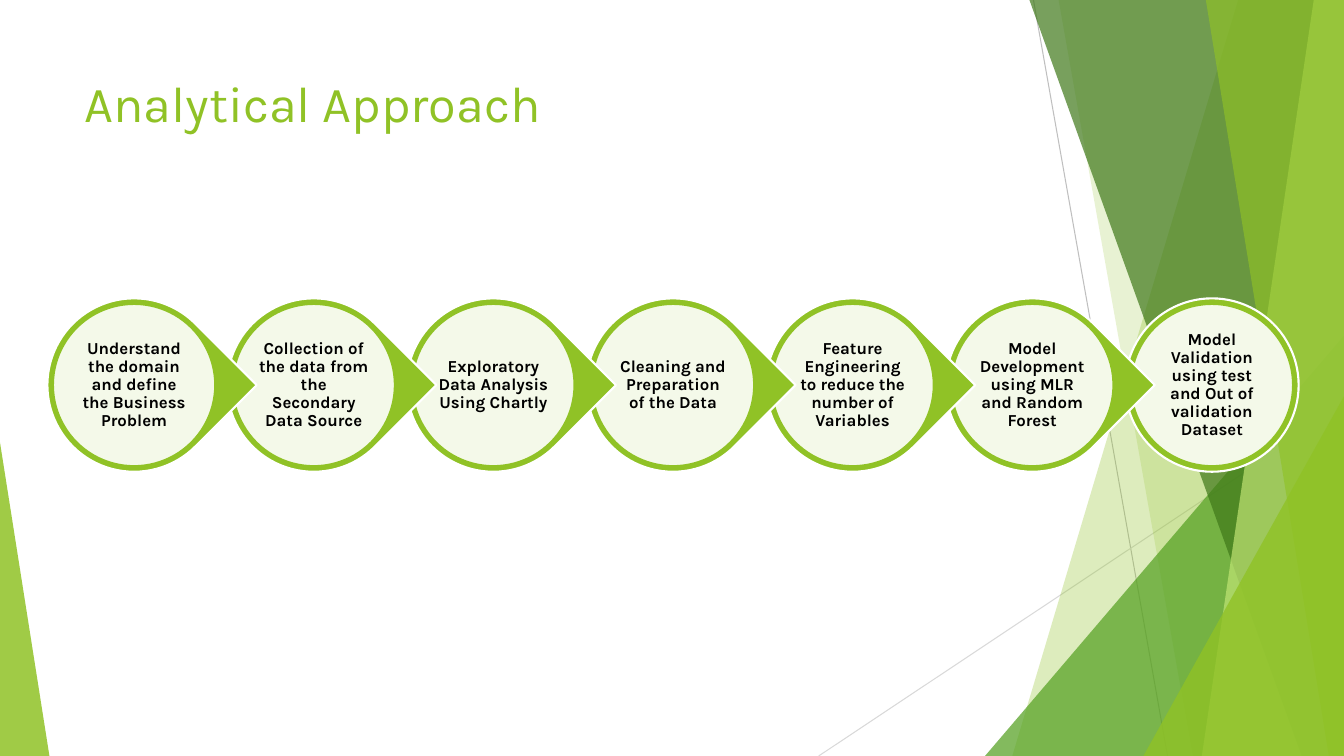
import pptx
import pptx.dml.color
import pptx.enum.shapes
import pptx.enum.text
import pptx.oxml.ns
import pptx.util
from lxml import etree

# Content
TITLE = "Analytical Approach"
STEPS = [
    "Understand the domain and define the Business Problem",
    "Collection of the data from the Secondary Data Source",
    "Exploratory Data Analysis Using Chartly",
    "Cleaning and Preparation of the Data",
    "Feature Engineering to reduce the number of Variables",
    "Model Development using MLR and Random Forest",
    "Model Validation using test and Out of validation Dataset",
]
COLORS = {
    "lime": "90C226", "green": "54A021", "forest": "3F7819", "pale": "C0E474",
    "white": "FFFFFF", "black": "000000", "line": "BFBFBF", "faint": "D9D9D9",
}
FONT = "Karla"

# Layout in inches
WIDTH, HEIGHT = 13.33, 7.5
FIRST_LEFT, LAST_LEFT, RING_TOP = 0.47, 11.16, 2.96
RING, DISC, LABEL = 1.72, 1.61, 1.15
PITCH = (LAST_LEFT - FIRST_LEFT) / (len(STEPS) - 1)

# Backdrop: lines are (from, to, colour)
LINES = [
    ((10.25, 0), (11.58, HEIGHT), "line"),
    ((WIDTH, 4.03), (8.12, HEIGHT), "faint"),
]
# Bands touch the right edge: (top x, bottom x, colour, opacity)
# Wedges stand on the bottom edge: (left, top, width, apex, colour, opacity)
BACKDROP = [
    ("band", 12.28, 10.04, "lime", 30),
    ("band", 10.5, 11.83, "lime", 20),
    ("wedge", 9.77, 3.33, 3.56, 1, "green", 72),
    ("band", 10.21, 12.91, "forest", 70),
    ("band", 13.03, 11.92, "pale", 70),
    ("band", 11.96, 13.18, "lime", 65),
    ("wedge", 11.34, 3.93, 1.99, 1, "lime", 80),
    ("wedge", 0, 4.39, 0.49, 0, "lime", 85),
]

SHAPES = pptx.enum.shapes.MSO_SHAPE
ALIGN = pptx.enum.text.PP_ALIGN
ANCHOR = pptx.enum.text.MSO_ANCHOR
inches = pptx.util.Inches
points = pptx.util.Pt
qname = pptx.oxml.ns.qn


def rgb(color):
    return pptx.dml.color.RGBColor.from_string(COLORS[color])


def paint(shape, color, opacity=100, outline=None):
    shape.shadow.inherit = False
    shape.fill.solid()
    shape.fill.fore_color.rgb = rgb(color)
    if opacity < 100:
        fill = shape.fill.fore_color._xFill
        alpha = etree.SubElement(fill[0], qname("a:alpha"))
        alpha.set("val", str(opacity * 1000))
    if outline:
        shape.line.color.rgb = rgb(outline)
        shape.line.width = points(1.5)
    else:
        shape.line.fill.background()


def add_line(page, start, end, color):
    line = page.shapes.add_connector(
        pptx.enum.shapes.MSO_CONNECTOR.STRAIGHT, *map(inches, start + end))
    line.line.color.rgb = rgb(color)
    line.line.width = points(0.75)
    etree.SubElement(line._element.spPr, qname("a:effectLst"))


def add_band(page, top_x, bottom_x, color, opacity):
    outline = page.shapes.build_freeform(inches(top_x), 0)
    outline.add_line_segments(
        [(inches(x), inches(y)) for x, y in
         [(WIDTH, 0), (WIDTH, HEIGHT), (bottom_x, HEIGHT)]], close=True)
    paint(outline.convert_to_shape(), color, opacity)


def add_wedge(page, left, top, width, apex, color, opacity):
    wedge = page.shapes.add_shape(
        SHAPES.ISOSCELES_TRIANGLE, *map(inches, (left, top, width, HEIGHT - top)))
    wedge.adjustments[0] = apex
    paint(wedge, color, opacity)


def add_text(page, text, area, size, color, bold=False):
    box = page.shapes.add_textbox(*map(inches, area))
    frame = box.text_frame
    frame.word_wrap = True
    para = frame.paragraphs[0]
    span = para.add_run()
    span.text = text
    span.font.name = FONT
    span.font.size = points(size)
    span.font.bold = bold
    span.font.color.rgb = rgb(color)
    return frame, para


def add_step(page, index):
    is_last = index == len(STEPS) - 1
    left = FIRST_LEFT + index * PITCH

    def centered(size):
        margin = (RING - size) / 2
        return left + margin, RING_TOP + margin, size, size

    # Ring, pointing to the next step unless it is the last
    ring = page.shapes.add_shape(
        SHAPES.OVAL if is_last else SHAPES.TEAR, *map(inches, centered(RING)))
    ring.rotation = 0 if is_last else 45
    paint(ring, "lime", outline="white")
    disc = page.shapes.add_shape(SHAPES.OVAL, *map(inches, centered(DISC)))
    paint(disc, "white", 90, "lime")

    # Label
    frame, para = add_text(page, STEPS[index], centered(LABEL), 12, "black", True)
    frame.vertical_anchor = ANCHOR.MIDDLE
    frame.margin_left = frame.margin_right = inches(0.02)
    frame.margin_top = frame.margin_bottom = inches(0.02)
    para.alignment = ALIGN.CENTER
    para.line_spacing = 0.9


def main():
    deck = pptx.Presentation()
    deck.slide_width, deck.slide_height = inches(WIDTH), inches(HEIGHT)
    page = deck.slides.add_slide(deck.slide_layouts[6])

    # Backdrop
    for line in LINES:
        add_line(page, *line)
    builders = {"band": add_band, "wedge": add_wedge}
    for kind, *details in BACKDROP:
        builders[kind](page, *details)

    # Title
    add_text(page, TITLE, (0.74, 0.67, 9.4, 1.44), 36, "lime")

    # Steps, last one first so that each tip overlaps the next ring
    for index in reversed(range(len(STEPS))):
        add_step(page, index)

    deck.save("out.pptx")


if __name__ == "__main__":
    main()
